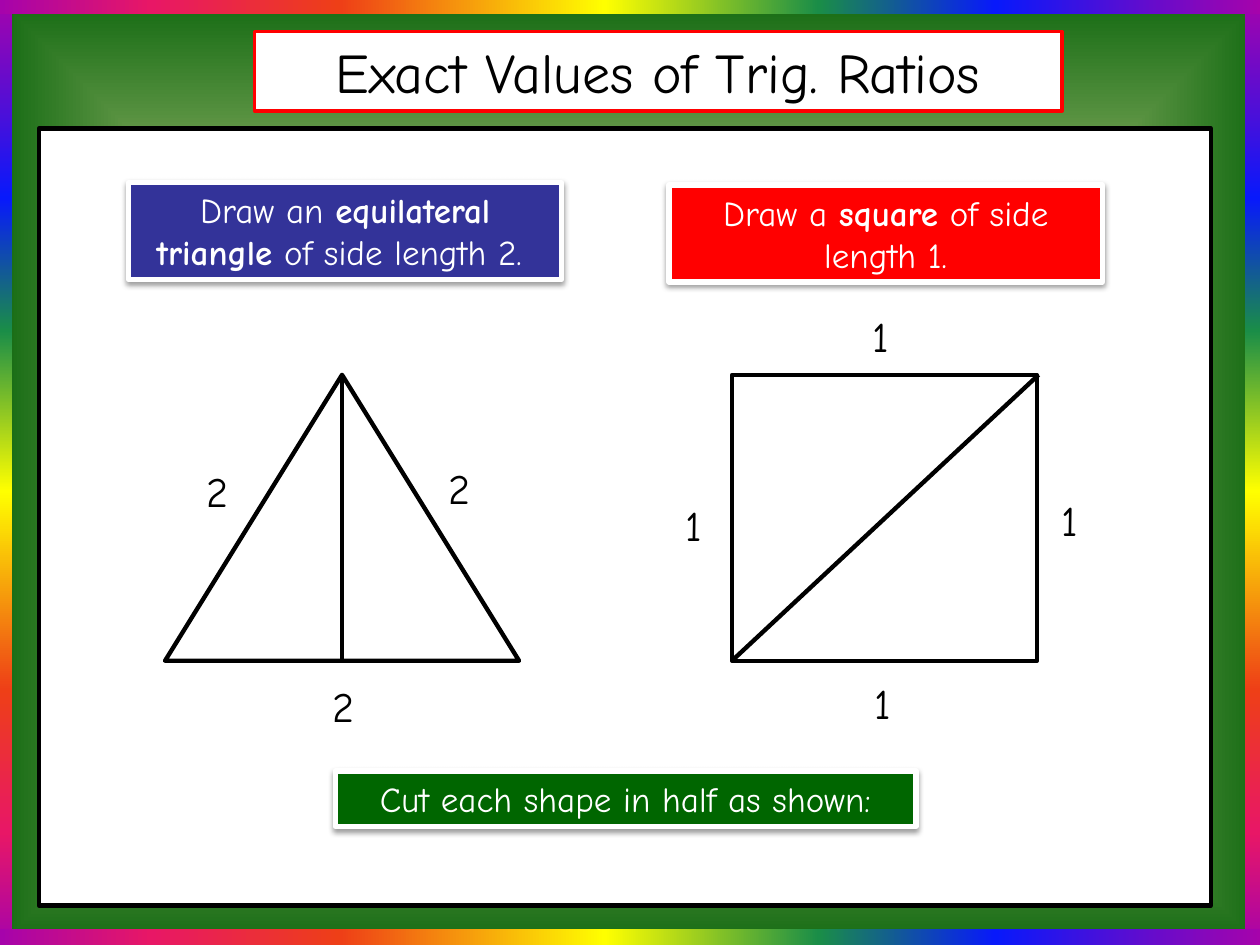
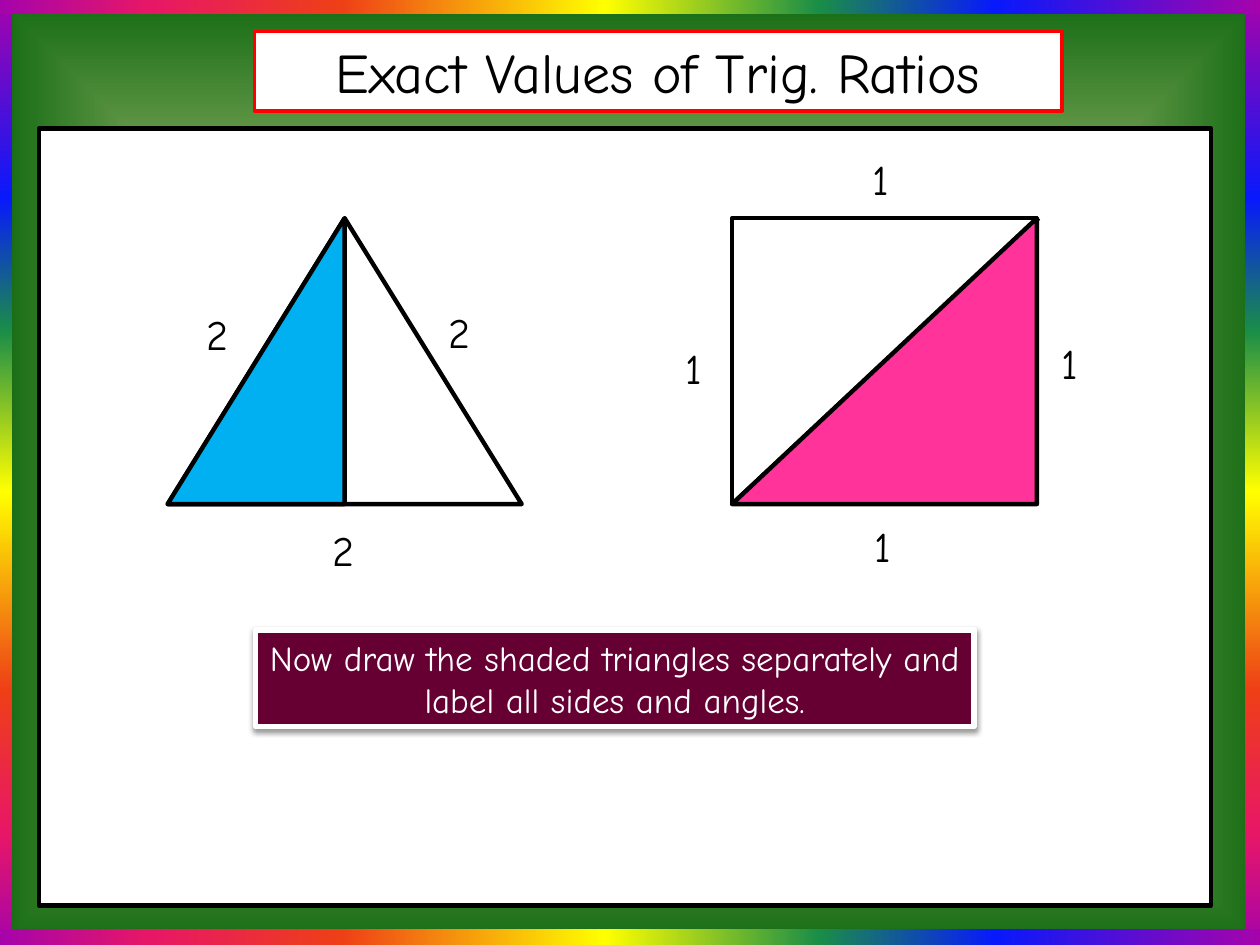
"""Build two slides on exact values of trig ratios."""
from dataclasses import dataclass
from lxml.etree import SubElement as Sub
from pptx import Presentation
from pptx.dml.color import RGBColor as Rgb
from pptx.enum.shapes import MSO_CONNECTOR as Link, MSO_SHAPE as Kind
from pptx.enum.text import MSO_ANCHOR as Anchor, MSO_AUTO_SIZE as Fit, PP_ALIGN as Align
from pptx.oxml import parse_xml
from pptx.oxml.ns import nsdecls, qn
from pptx.util import Pt


@dataclass(frozen=True)
class Theme:
    font: str = "Comic Neue"
    head: int = 32
    note: int = 20
    side: int = 24
    black: str = "000000"
    white: str = "FFFFFF"
    red: str = "FF0000"
    blue: str = "333399"
    green: str = "006600"
    plum: str = "660033"
    cyan: str = "00B0F0"
    pink: str = "FF3399"
    rainbow: tuple = ((0, "A603AB"), (21, "0819FB"), (35, "1A8D48"), (52, "FFFF00"),
                      (73, "EE3F17"), (88, "E81766"), (100, "A603AB"))
    leaf: tuple = ((0, "DDEBCF"), (50, "9CB86E"), (100, "156B13"))


theme = Theme()


def write(shape, text, size=theme.side, color=theme.black, anchor=Anchor.TOP, fit=Fit.SHAPE_TO_FIT_TEXT):
    """Put centred text in a shape; parts between bars are bold."""
    frame = shape.text_frame
    frame.word_wrap, frame.auto_size, frame.vertical_anchor = True, fit, anchor
    para = frame.paragraphs[0]
    para.alignment = Align.CENTER
    for spot, part in enumerate(text.split("|")):
        run = para.add_run()
        run.text = part
        font = run.font
        font.name, font.size, font.bold = theme.font, Pt(size), spot % 2 == 1
        font.color.rgb = Rgb.from_string(color)


def draw(slide, kind, place, fill=None, line=None, width=2.5):
    """Add a preset shape with the given fill and outline."""
    shape = slide.shapes.add_shape(kind, *map(Pt, place))
    shape.shadow.inherit = False
    for paint, color in ((shape.fill, fill), (shape.line.fill, line)):
        if color:
            paint.solid()
            paint.fore_color.rgb = Rgb.from_string(color)
        else:
            paint.background()
    if line:
        shape.line.width = Pt(width)
    return shape


deck = Presentation()
deck.slide_width, deck.slide_height = Pt(720), Pt(540)
layout = deck.slide_layouts[5]

fades = []
linear = '<a:lin ang="5400000" scaled="0"/>'
radial = '<a:path path="shape"><a:fillToRect l="50000" t="50000" r="50000" b="50000"/></a:path>'
for stops, shade in ((theme.rainbow, linear), (theme.leaf, radial)):
    marks = "".join(f'<a:gs pos="{at * 1000}"><a:srgbClr val="{color}"/></a:gs>' for at, color in stops)
    fades.append(f'<a:gradFill {nsdecls("a")} rotWithShape="1"><a:gsLst>{marks}</a:gsLst>{shade}</a:gradFill>')
rainbow, leaf = fades

layout.background.fill.solid()
back = layout.element.find(".//" + qn("p:bgPr"))
back.replace(back[0], parse_xml(leaf))

pages = [deck.slides.add_slide(layout) for _ in range(2)]
first, second = pages

bands = ((-1.5, 0, 8.6, 540, 0), (711.4, 0, 8.6, 540, 0),
         (355.3, -356.4, 9.4, 720, 90), (355.3, 175.7, 9.4, 720, 90))
for *place, turn in bands:
    band = draw(first, Kind.RECTANGLE, place, theme.white)
    band.rotation = turn
    props = band.element.spPr
    props.replace(props.find(qn("a:solidFill")), parse_xml(rainbow))
    layout.shapes.element.append(band.element)
panel = draw(first, Kind.RECTANGLE, (22.3, 73.4, 669.6, 444.2), theme.white, theme.black)
layout.shapes.element.append(panel.element)

high, wide, base = 163.4, 174.2, 202.3
left = 418.3
labels = (("2", 110.2, 48.2), ("2", 248.4, 46.8), ("2", 182.2, 171.4), ("1", 489.6, -40.3),
          ("1", 597.6, 64.8), ("1", 382.3, 67.7), ("1", 490.3, 169.2))
for slide, top, start in ((first, 214.2, 94.3), (second, 124.7, 95.8)):
    title = slide.shapes.title
    title.left, title.top, title.width, title.height = map(Pt, (145.4, 18, 461.5, 45.4))
    title.fill.solid()
    title.fill.fore_color.rgb = Rgb.from_string(theme.white)
    title.line.color.rgb = Rgb.from_string(theme.red)
    title.line.width = Pt(2)
    write(title, "Exact Values of Trig. Ratios", size=theme.head, anchor=Anchor.MIDDLE, fit=Fit.NONE)

    draw(slide, Kind.ISOSCELES_TRIANGLE, (start, top, base, high), line=theme.black)
    draw(slide, Kind.RECTANGLE, (left, top, wide, high), line=theme.black)
    mid = start + base / 2
    for ends in ((mid, top, mid, top + high), (left, top + high, left + wide + 1, top)):
        cut = slide.shapes.add_connector(Link.STRAIGHT, *map(Pt, ends))
        cut.line.color.rgb = Rgb.from_string(theme.black)
        cut.line.width = Pt(2.5)
        Sub(cut.element.spPr, qn("a:effectLst"))
    for text, across, down in labels:
        label = slide.shapes.add_textbox(Pt(across), Pt(top + down), Pt(28), Pt(36))
        write(label, text)

notes = (
    (first, (73.4, 104.4, 247.7, 55.4), theme.blue, "Draw an |equilateral triangle| of side length 2. "),
    (first, (382.3, 105.8, 247.7, 55.4), theme.red, "Draw a |square| of side length 1."),
    (first, (191.5, 440.6, 331.9, 31.7), theme.green, "Cut each shape in half as shown:"),
    (second, (146.2, 360, 410.4, 55.4), theme.plum,
     "Now draw the shaded triangles separately and label all sides and angles."),
)
for slide, place, fill, text in notes:
    note = draw(slide, Kind.RECTANGLE, place, fill, theme.white, 3)
    glow = note.element.spPr.find(qn("a:effectLst"))
    shade = Sub(glow, qn("a:outerShdw"), blurRad=str(Pt(3.1)), dist=str(Pt(1.6)), dir="5400000", rotWithShape="0")
    tint = Sub(shade, qn("a:srgbClr"), val=theme.black)
    Sub(tint, qn("a:alpha"), val="38000")
    write(note, text, size=theme.note, color=theme.white)

for place, fill in (((95.8, 124.7, base / 2, high), theme.cyan), ((left, 124.7, wide, high), theme.pink)):
    half = draw(second, Kind.RIGHT_TRIANGLE, place, fill, theme.black)
    half.element.spPr.find(qn("a:xfrm")).set("flipH", "1")

deck.save("out.pptx")
